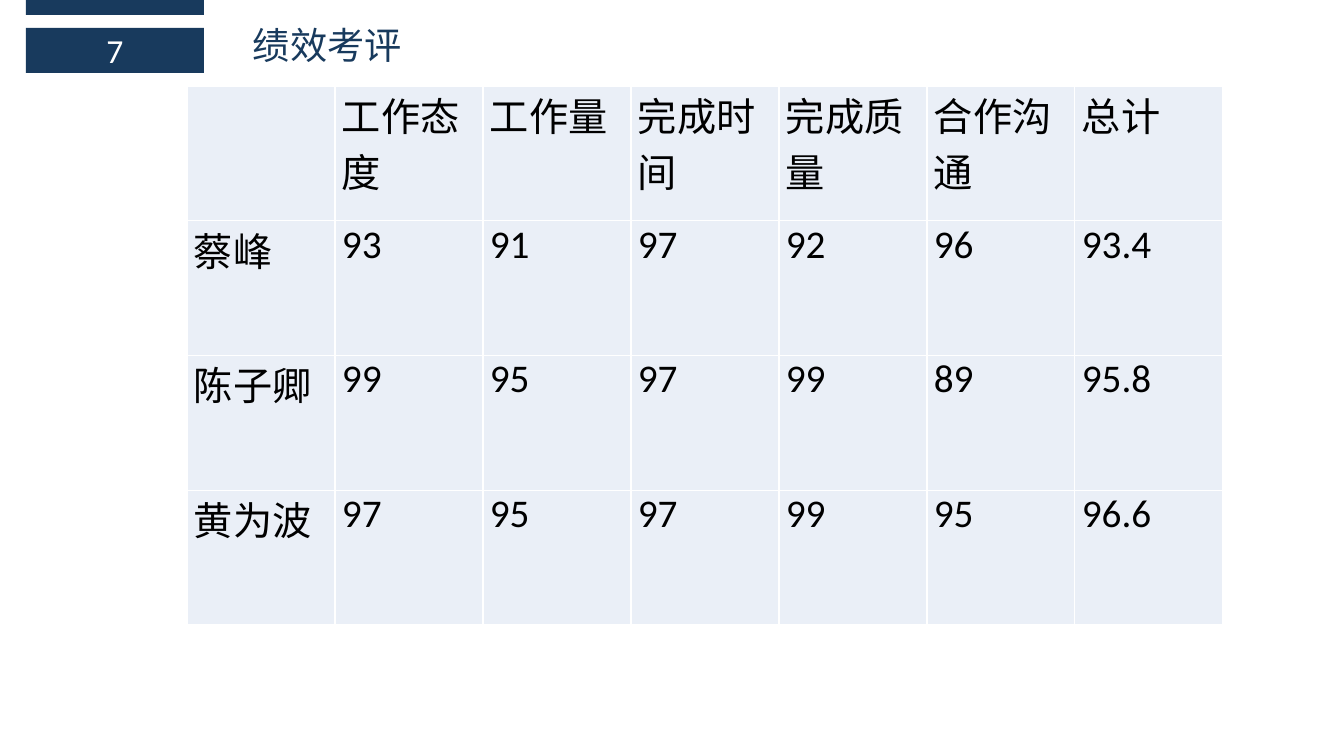
import pptx
import pptx.dml.color
import pptx.enum.shapes
import pptx.enum.text
import pptx.oxml
import pptx.oxml.ns
import pptx.util
from lxml import etree

RGBColor = pptx.dml.color.RGBColor
NAVY = RGBColor(0x18, 0x3A, 0x5D)
PALE = RGBColor(0xEA, 0xEF, 0xF7)
WHITE = RGBColor(0xFF, 0xFF, 0xFF)
BLACK = RGBColor(0x00, 0x00, 0x00)
LATIN = "Calibri"
CJK = "Noto Sans CJK SC"
EMU_PER_PX = 914400 / 100.8

SCORES = [
    ["", "工作态度", "工作量", "完成时间", "完成质量", "合作沟通", "总计"],
    ["蔡峰", "93", "91", "97", "92", "96", "93.4"],
    ["陈子卿", "99", "95", "97", "99", "89", "95.8"],
    ["黄为波", "97", "95", "97", "99", "95", "96.6"],
]


def px(n):
    return pptx.util.Emu(round(n * EMU_PER_PX))


def write(tf, text, size, color, font):
    """Set one line of text, with the CJK font for East Asian characters."""
    tf.text = text
    for r in tf.paragraphs[0].runs:
        r.font.size = pptx.util.Pt(size)
        r.font.color.rgb = color
        r.font.name = font
        ea = etree.SubElement(r.font._element, pptx.oxml.ns.qn("a:ea"))
        ea.set("typeface", CJK)


def add_bar(slide, x, y, w, h):
    sp = slide.shapes.add_shape(
        pptx.enum.shapes.MSO_SHAPE.RECTANGLE, px(x), px(y), px(w), px(h))
    sp.shadow.inherit = False
    sp.fill.solid()
    sp.fill.fore_color.rgb = NAVY
    sp.line.fill.background()
    return sp


def add_page_tab(slide, x, y, w, h):
    """Place the strip at the top edge and the numbered bar below it."""
    add_bar(slide, x, y, w, 15)
    tf = add_bar(slide, x, y + 28, w, h - 28).text_frame
    write(tf, "7", 24, WHITE, LATIN)
    tf.vertical_anchor = pptx.enum.text.MSO_ANCHOR.MIDDLE
    tf.paragraphs[0].alignment = pptx.enum.text.PP_ALIGN.CENTER


def add_title(slide, x, y, w, h):
    tf = slide.shapes.add_textbox(px(x), px(y), px(w), px(h)).text_frame
    tf.word_wrap = True
    write(tf, "绩效考评", 26.6, NAVY, CJK)


def set_borders(cell):
    tc_pr = cell._tc.get_or_add_tcPr()
    for i, side in enumerate(("lnL", "lnR", "lnT", "lnB")):
        tc_pr.insert(i, pptx.oxml.parse_xml(
            f'<a:{side} {pptx.oxml.ns.nsdecls("a")} w="12700"><a:solidFill>'
            f'<a:srgbClr val="{WHITE}"/></a:solidFill></a:{side}>'))


def add_score_table(slide, x, y, w, h):
    rows, cols = len(SCORES), len(SCORES[0])
    table = slide.shapes.add_table(
        rows, cols, px(x), px(y), px(w), px(h)).table
    for column in table.columns:
        column.width = px(w / cols)
    for row in table.rows:
        row.height = px(h / rows)
    for i, values in enumerate(SCORES):
        for j, value in enumerate(values):
            cell = table.cell(i, j)
            cell.margin_left = cell.margin_right = px(7)
            cell.margin_top = cell.margin_bottom = 0
            cell.fill.solid()
            cell.fill.fore_color.rgb = PALE
            set_borders(cell)
            write(cell.text_frame, value, 28, BLACK, LATIN if i == 0 or j else CJK)
            for r in cell.text_frame.paragraphs[0].runs:
                r.font.bold = False


def main():
    prs = pptx.Presentation()
    prs.slide_width, prs.slide_height = px(1344), px(756)
    slide = prs.slides.add_slide(prs.slide_layouts[6])
    add_page_tab(slide, 26, 0, 178, 73)
    add_title(slide, 243, 17, 667, 55)
    add_score_table(slide, 187, 86, 1036, 539)
    prs.save("out.pptx")


if __name__ == "__main__":
    main()
